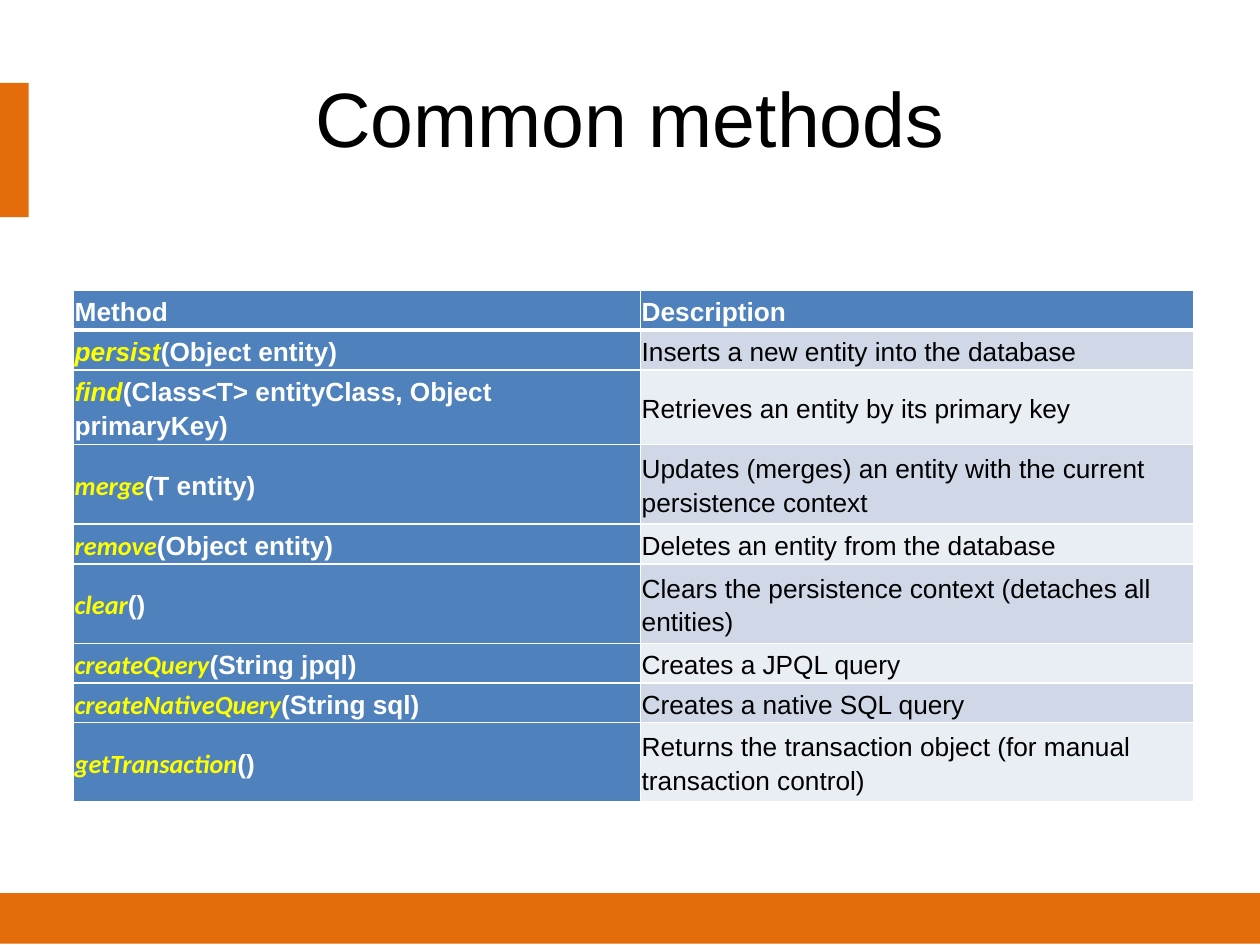
from lxml.etree import SubElement
from pptx import Presentation
from pptx.dml.color import RGBColor
from pptx.enum.shapes import MSO_SHAPE
from pptx.enum.text import MSO_ANCHOR, PP_ALIGN
from pptx.oxml.ns import qn
from pptx.util import Pt

ORANGE = RGBColor(0xE4, 0x6C, 0x0A)
BLUE = RGBColor(0x4F, 0x81, 0xBD)
BANDS = (RGBColor(0xD0, 0xD8, 0xE8), RGBColor(0xE9, 0xED, 0xF4))
YELLOW = RGBColor(0xFF, 0xFF, 0x00)
WHITE = RGBColor(0xFF, 0xFF, 0xFF)
BLACK = RGBColor(0, 0, 0)

TITLE = "Common methods"
HEADERS = ("Method", "Description")
# method name, its font, parameters, description, lines the row is tall
METHODS = [
    ("persist", "Arial", "(Object entity)", "Inserts a new entity into the database", 1),
    ("find", "Arial", "(Class<T> entityClass, Object primaryKey)",
     "Retrieves an entity by its primary key", 1),
    ("merge", "Calibri", "(T entity)",
     "Updates (merges) an entity with the current persistence context", 2),
    ("remove", "Calibri", "(Object entity)", "Deletes an entity from the database", 1),
    ("clear", "Calibri", "()", "Clears the persistence context (detaches all entities)", 2),
    ("createQuery", "Calibri", "(String jpql)", "Creates a JPQL query", 1),
    ("createNativeQuery", "Calibri", "(String sql)", "Creates a native SQL query", 1),
    ("getTransaction", "Calibri", "()",
     "Returns the transaction object (for manual transaction control)", 2),
]
ORANGE_BARS = [(0, 510.4, 720, 28.9), (0, 47.3, 16.4, 76.8)]
TABLE_LEFT, TABLE_TOP = 42, 166
COLUMN_WIDTHS = (324, 316)
LINE_HEIGHT = 22.7
CELL_MARGIN = Pt(0.7)


def add_borders(cell, bottom_width):
    properties = cell._tc.get_or_add_tcPr()
    widths = {"a:lnL": 1, "a:lnR": 1, "a:lnT": 1, "a:lnB": bottom_width}
    for tag, width in widths.items():
        line = SubElement(properties, qn(tag), w=str(Pt(width)))
        fill = SubElement(line, qn("a:solidFill"))
        SubElement(fill, qn("a:srgbClr"), val=str(WHITE))


def fill_cell(cell, runs, fill_color, bold=True, bottom_width=1):
    """Write runs of (text, font name, colour, italic) into a styled cell."""
    add_borders(cell, bottom_width)
    cell.fill.solid()
    cell.fill.fore_color.rgb = fill_color
    cell.vertical_anchor = MSO_ANCHOR.MIDDLE
    cell.margin_left = cell.margin_right = CELL_MARGIN
    cell.margin_top = cell.margin_bottom = CELL_MARGIN
    paragraph = cell.text_frame.paragraphs[0]
    paragraph.line_spacing = 1.15
    paragraph.space_after = Pt(8)
    for text, font_name, color, italic in runs:
        run = paragraph.add_run()
        run.text = text
        run.font.name = font_name
        run.font.size = Pt(15)
        run.font.bold = bold
        run.font.italic = italic
        run.font.color.rgb = color


presentation = Presentation()
presentation.slide_width, presentation.slide_height = Pt(720), Pt(540)
slide = presentation.slides.add_slide(presentation.slide_layouts[6])

for box in ORANGE_BARS:
    bar = slide.shapes.add_shape(MSO_SHAPE.RECTANGLE, *map(Pt, box))
    bar.shadow.inherit = False
    bar.fill.solid()
    bar.fill.fore_color.rgb = ORANGE
    bar.line.fill.background()

title = slide.shapes.add_textbox(Pt(36), Pt(21.6), Pt(648), Pt(90))
title.text_frame.word_wrap = True
title.text_frame.vertical_anchor = MSO_ANCHOR.MIDDLE
paragraph = title.text_frame.paragraphs[0]
paragraph.text = TITLE
paragraph.alignment = PP_ALIGN.CENTER
paragraph.font.name = "Arial"
paragraph.font.size = Pt(44)
paragraph.font.color.rgb = BLACK

row_heights = [LINE_HEIGHT] + [LINE_HEIGHT * method[-1] for method in METHODS]
table = slide.shapes.add_table(
    len(row_heights), len(COLUMN_WIDTHS), Pt(TABLE_LEFT), Pt(TABLE_TOP),
    Pt(sum(COLUMN_WIDTHS)), Pt(sum(row_heights))).table
for column, width in zip(table.columns, COLUMN_WIDTHS):
    column.width = Pt(width)
for row, height in zip(table.rows, row_heights):
    row.height = Pt(height)

for column, header in enumerate(HEADERS):
    fill_cell(table.cell(0, column), [(header, "Arial", WHITE, False)], BLUE, bottom_width=3)
for row, (name, name_font, parameters, description, _) in enumerate(METHODS, 1):
    signature = [(name, name_font, YELLOW, True), (parameters, "Arial", WHITE, False)]
    fill_cell(table.cell(row, 0), signature, BLUE)
    fill_cell(table.cell(row, 1), [(description, "Arial", BLACK, False)],
              BANDS[(row - 1) % 2], bold=False)

presentation.save("out.pptx")
